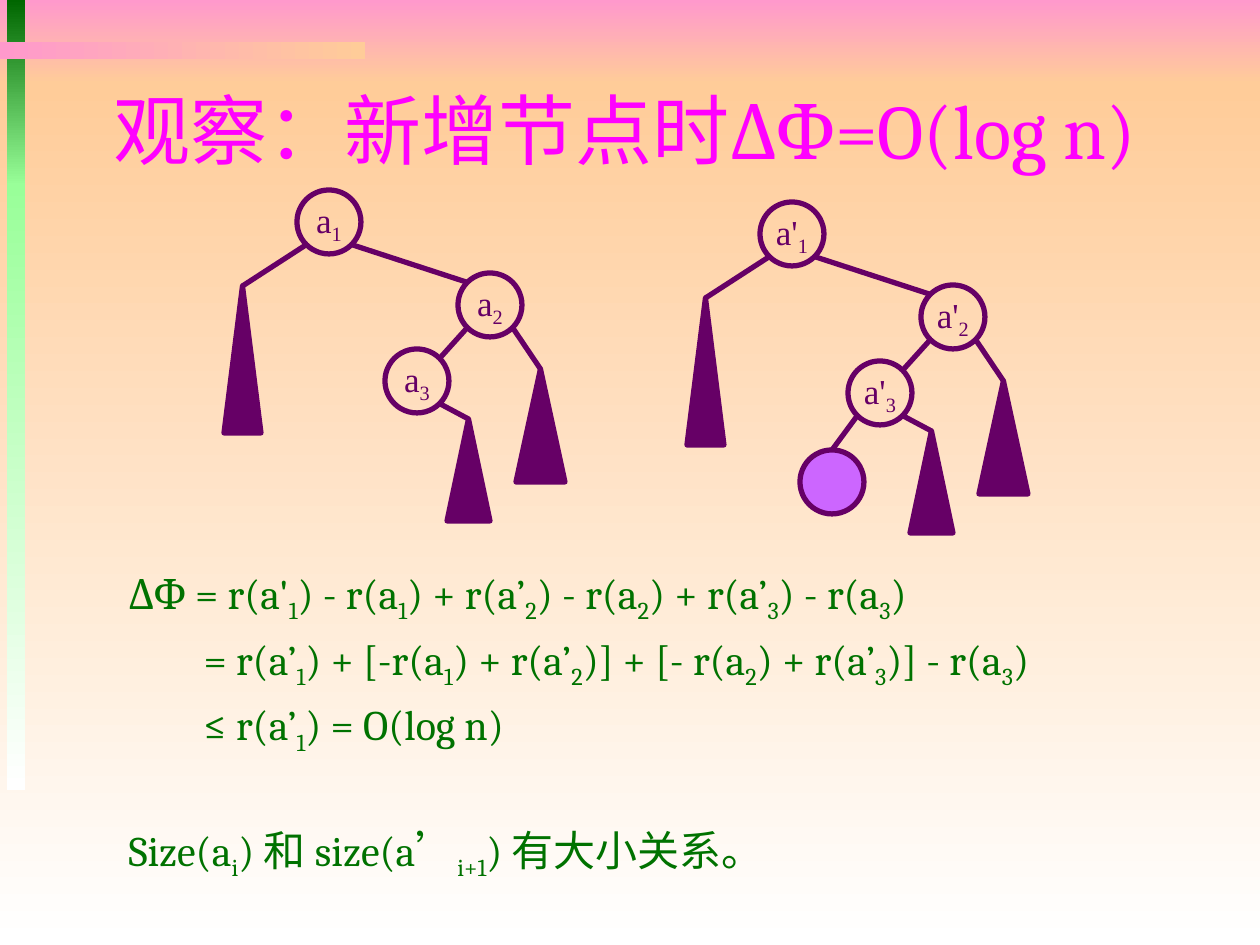
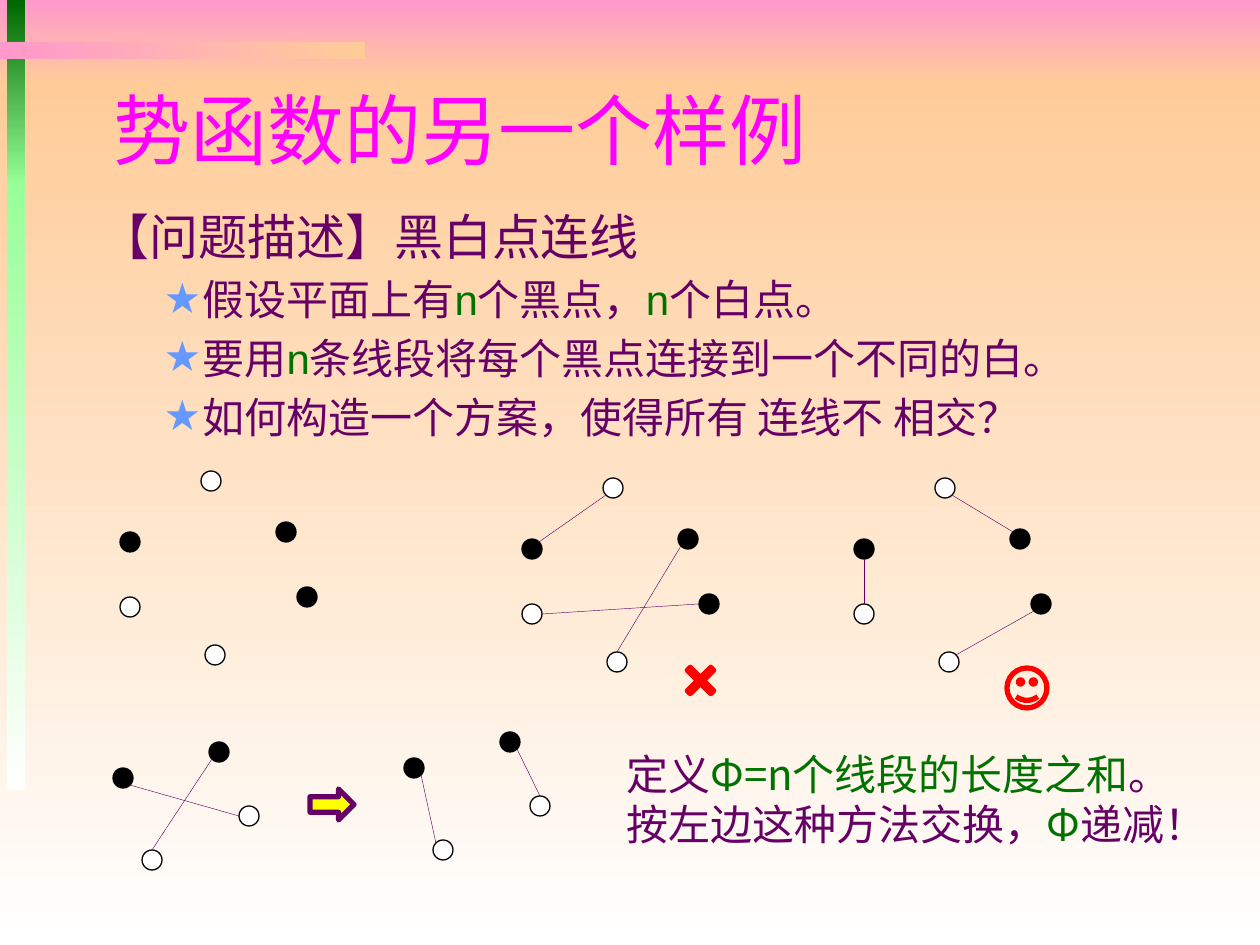
from lxml.etree import SubElement
from pptx import Presentation
from pptx.dml.color import RGBColor
from pptx.enum.shapes import MSO_CONNECTOR, MSO_SHAPE
from pptx.enum.text import MSO_ANCHOR, MSO_AUTO_SIZE, PP_ALIGN
from pptx.oxml.ns import qn
from pptx.util import Emu, Pt

EMU_PER_PX = 914400 / 126
SLIDE_WIDTH, SLIDE_HEIGHT = 1260, 945

PINK, PEACH, WHITE, BLACK = "FF99CC", "FFCC99", "FFFFFF", "000000"
DARK_GREEN, LIGHT_GREEN, TEXT_GREEN = "006600", "99FF99", "007200"
MAGENTA, PURPLE, VIOLET = "FF00FF", "660066", "CC66FF"
STAR_BLUE, RED, YELLOW = "6699FF", "FF0000", "FFFF00"

# Tree parts relative to the tree's box: left, top, width, height
NODE_SIZE = 64
TREE_PARTS = {
    "1": (73, 0, NODE_SIZE, NODE_SIZE),
    "2": (234, 83, NODE_SIZE, NODE_SIZE),
    "3": (161, 159, NODE_SIZE, NODE_SIZE),
    "new": (113, 248, NODE_SIZE, NODE_SIZE),
    "outer left": (0, 96, 37, 147),
    "inner right": (223, 229, 43, 102),
    "outer right": (292, 179, 49, 113),
}
TREE_EDGES = [
    ("1", "SE", "2", "NW"), ("2", "SW", "3", "NE"),
    ("1", "SW", "outer left", "N"), ("3", "SE", "inner right", "N"),
    ("2", "SE", "outer right", "N"),
]

# Dots relative to their group's box: left, top, colour
DOT_SIZE = 20
SIX_DOTS = [(81, 0, WHITE), (0, 61, BLACK), (85, 174, WHITE),
            (177, 116, BLACK), (0, 126, WHITE), (156, 51, BLACK)]
FOUR_DOTS = [(0, 26, BLACK), (126, 64, WHITE), (96, 0, BLACK), (29, 108, WHITE)]


def px(length):
    return Emu(round(length * EMU_PER_PX))


def color(hex_string):
    return RGBColor.from_string(hex_string)


def set_font(font, name, size, hex_string):
    font.name, font.size = name, Pt(size)
    font.color.rgb = color(hex_string)


def add_part(slide, kind, box, fill=None, line=None, weight=3):
    shape = slide.shapes.add_shape(kind, *map(px, box))
    shape.shadow.inherit = False
    if fill:
        shape.fill.solid()
        shape.fill.fore_color.rgb = color(fill)
    else:
        shape.fill.background()
    if line:
        shape.line.color.rgb = color(line)
        shape.line.width = Pt(weight)
    else:
        shape.line.fill.background()
    return shape


def compass_point(box, direction):
    """Point of the ellipse in the box, such as N or SE."""
    left, top, width, height = box
    across = ("E" in direction) - ("W" in direction)
    down = ("S" in direction) - ("N" in direction)
    reach = 0.5 if len(direction) == 1 else 0.5 ** 1.5
    return left + width * (0.5 + across * reach), top + height * (0.5 + down * reach)


def add_edges(slide, boxes, edges, weight):
    for start, start_side, end, end_side in edges:
        points = compass_point(boxes[start], start_side) + compass_point(boxes[end], end_side)
        edge = slide.shapes.add_connector(MSO_CONNECTOR.STRAIGHT, *map(px, points))
        edge.line.color.rgb = color(PURPLE)
        edge.line.width = Pt(weight)
        SubElement(edge.element.spPr, qn("a:effectLst"))


def add_marked_text(paragraph, text, mark):
    """Add runs; every second piece between bars is passed to mark."""
    for index, piece in enumerate(text.split("|")):
        if piece:
            run = paragraph.add_run()
            run.text = piece
            if index % 2:
                mark(run)


def mark_subscript(run):
    run._r.get_or_add_rPr().set("baseline", "-25000")


def mark_green(run):
    run.font.color.rgb = color(TEXT_GREEN)


def set_indent(paragraph, margin, first_line=0, bullet=None):
    properties = paragraph._p.get_or_add_pPr()
    properties.set("marL", str(px(margin)))
    properties.set("indent", str(px(first_line)))
    if bullet:
        bullet_color = SubElement(properties, qn("a:buClr"))
        SubElement(bullet_color, qn("a:srgbClr"), val=STAR_BLUE)
        SubElement(properties, qn("a:buChar"), char=bullet)
    else:
        SubElement(properties, qn("a:buNone"))


def place(shape, box):
    shape.left, shape.top, shape.width, shape.height = map(px, box)
    frame = shape.text_frame
    frame.word_wrap = True
    frame.auto_size = MSO_AUTO_SIZE.NONE
    return frame


def next_paragraph(frame, index):
    return frame.add_paragraph() if index else frame.paragraphs[0]


def build_master_bands(presentation, slide):
    # Gradient bands: box, first colour, last colour, angle
    bands = [
        ((0, 0, SLIDE_WIDTH, 84), PINK, PEACH, 270),
        ((0, 84, SLIDE_WIDTH, SLIDE_HEIGHT - 84), PEACH, WHITE, 270),
        ((7, 0, 18, 186), DARK_GREEN, LIGHT_GREEN, 270),
        ((7, 184, 18, 606), LIGHT_GREEN, WHITE, 270),
        ((0, 42, 365, 17), PINK, PEACH, 0),
    ]
    master_tree = presentation.slide_master.element.cSld.spTree
    for index, (box, first, last, angle) in enumerate(bands):
        band = add_part(slide, MSO_SHAPE.RECTANGLE, box)
        band.fill.gradient()
        band.fill.gradient_angle = angle
        for stop, hex_string in zip(band.fill.gradient_stops, (first, last)):
            stop.color.rgb = color(hex_string)
        # Behind the master's placeholders, with an id of its own there
        band.element.nvSpPr.cNvPr.set("id", str(100 + index))
        master_tree.insert(2 + index, band.element)


def build_title(slide, text, font_name):
    frame = place(slide.shapes.title, (101, 72, 1071, 113))
    frame.vertical_anchor = MSO_ANCHOR.MIDDLE
    paragraph = frame.paragraphs[0]
    paragraph.text = text
    paragraph.alignment = PP_ALIGN.LEFT
    set_font(paragraph.font, font_name, 44, MAGENTA)


def build_tree(slide, left, top, letter, with_new_node=False):
    boxes = {name: (left + x, top + y, width, height)
             for name, (x, y, width, height) in TREE_PARTS.items()}
    edges = list(TREE_EDGES)
    # Subtrees
    for name in ("outer left", "inner right", "outer right"):
        add_part(slide, MSO_SHAPE.ISOSCELES_TRIANGLE, boxes[name], PURPLE, PURPLE)
    # Labelled nodes
    for name in "123":
        node = add_part(slide, MSO_SHAPE.OVAL, boxes[name], line=PURPLE)
        frame = node.text_frame
        frame.word_wrap = False
        frame.vertical_anchor = MSO_ANCHOR.MIDDLE
        paragraph = frame.paragraphs[0]
        paragraph.alignment = PP_ALIGN.CENTER
        set_font(paragraph.font, "Times New Roman", 20, PURPLE)
        add_marked_text(paragraph, f"{letter}|{name}", mark_subscript)
    # Inserted node
    if with_new_node:
        add_part(slide, MSO_SHAPE.OVAL, boxes["new"], VIOLET, PURPLE)
        edges.append(("3", "SW", "new", "N"))
    add_edges(slide, boxes, edges, 3)


def build_derivation(slide, box):
    # Text, left margin, space before in points (None keeps the template's)
    lines = [
        ("ΔΦ = r(a'|1|) - r(a|1|) + r(a’|2|) - r(a|2|) + r(a’|3|) - r(a|3|)", 0, None),
        ("= r(a’|1|) + [-r(a|1|) + r(a’|2|)] + [- r(a|2|) + r(a’|3|)] - r(a|3|)", 75, None),
        ("≤ r(a’|1|) = O(log n)", 75, None),
        ("Size(a|i|) 和 size(a’|i+1|) 有大小关系。", 0, 39),
    ]
    frame = place(slide.placeholders[1], box)
    for index, (text, margin, space_before) in enumerate(lines):
        paragraph = next_paragraph(frame, index)
        set_indent(paragraph, margin)
        if space_before:
            paragraph.space_before = Pt(space_before)
        set_font(paragraph.font, "Cambria", 24, TEXT_GREEN)
        add_marked_text(paragraph, text, mark_subscript)


def build_problem(slide, box):
    lines = [
        "【问题描述】黑白点连线",
        "假设平面上有|n|个黑点，|n|个白点。",
        "要用|n|条线段将每个黑点连接到一个不同的白。",
        "如何构造一个方案，使得所有 连线不 相交？",
    ]
    frame = place(slide.placeholders[1], box)
    for index, text in enumerate(lines):
        paragraph = next_paragraph(frame, index)
        if index:
            paragraph.level = 1
            set_indent(paragraph, 102, -39, "★")
        else:
            set_indent(paragraph, 0)
        set_font(paragraph.font, "Arial", 24 if index else 28, PURPLE)
        add_marked_text(paragraph, text, mark_green)


def build_dots(slide, left, top, dots, edges=()):
    boxes = [(left + x, top + y, DOT_SIZE, DOT_SIZE) for x, y, _ in dots]
    for box, (_, _, fill) in zip(boxes, dots):
        add_part(slide, MSO_SHAPE.OVAL, box, fill, BLACK, 0.75)
    add_edges(slide, boxes, edges, 0.25)


def build_caption(slide, box):
    frame = place(slide.shapes.add_textbox(0, 0, 0, 0), box)
    lines = ["定义|Φ=n个线段的长度之和|。", "按左边这种方法交换，|Φ|递减！"]
    for index, text in enumerate(lines):
        paragraph = next_paragraph(frame, index)
        set_font(paragraph.font, "Noto Sans CJK SC", 24, PURPLE)
        add_marked_text(paragraph, text, mark_green)


def build_insertion_slide(slide):
    build_title(slide, "观察：新增节点时ΔΦ=O(log n)", "Cambria")
    build_derivation(slide, (116, 561, 1023, 197))
    build_tree(slide, 224, 190, "a")
    build_tree(slide, 687, 202, "a'", with_new_node=True)


def build_matching_slide(slide):
    build_title(slide, "势函数的另一个样例", "Roboto Condensed")
    build_problem(slide, (88, 200, 1172, 262))
    # Unconnected, crossing and valid matchings
    build_dots(slide, 120, 471, SIX_DOTS)
    build_dots(slide, 522, 478, SIX_DOTS,
               [(1, "NE", 0, "SW"), (5, "SW", 2, "N"), (4, "E", 3, "W")])
    cross = add_part(slide, MSO_SHAPE.MATH_MULTIPLY, (678, 658, 45, 45), RED, RED)
    cross.adjustments[0] = 0.09
    build_dots(slide, 854, 478, SIX_DOTS,
               [(5, "NW", 0, "SE"), (3, "SW", 2, "NE"), (4, "N", 1, "S")])
    add_part(slide, MSO_SHAPE.SMILEY_FACE, (1007, 668, 40, 40), line=RED)
    # Swap that removes a crossing
    build_dots(slide, 113, 742, FOUR_DOTS, [(0, "SE", 1, "W"), (2, "SW", 3, "N")])
    add_part(slide, MSO_SHAPE.RIGHT_ARROW, (310, 789, 44, 31), YELLOW, PURPLE)
    build_dots(slide, 404, 732, FOUR_DOTS, [(0, "SE", 3, "NW"), (2, "SE", 1, "N")])
    build_caption(slide, (614, 742, 630, 115))


def main():
    presentation = Presentation()
    presentation.slide_width, presentation.slide_height = px(SLIDE_WIDTH), px(SLIDE_HEIGHT)
    layout = presentation.slide_layouts[1]
    insertion_slide = presentation.slides.add_slide(layout)
    matching_slide = presentation.slides.add_slide(layout)
    build_master_bands(presentation, insertion_slide)
    build_insertion_slide(insertion_slide)
    build_matching_slide(matching_slide)
    presentation.save("out.pptx")


if __name__ == "__main__":
    main()
